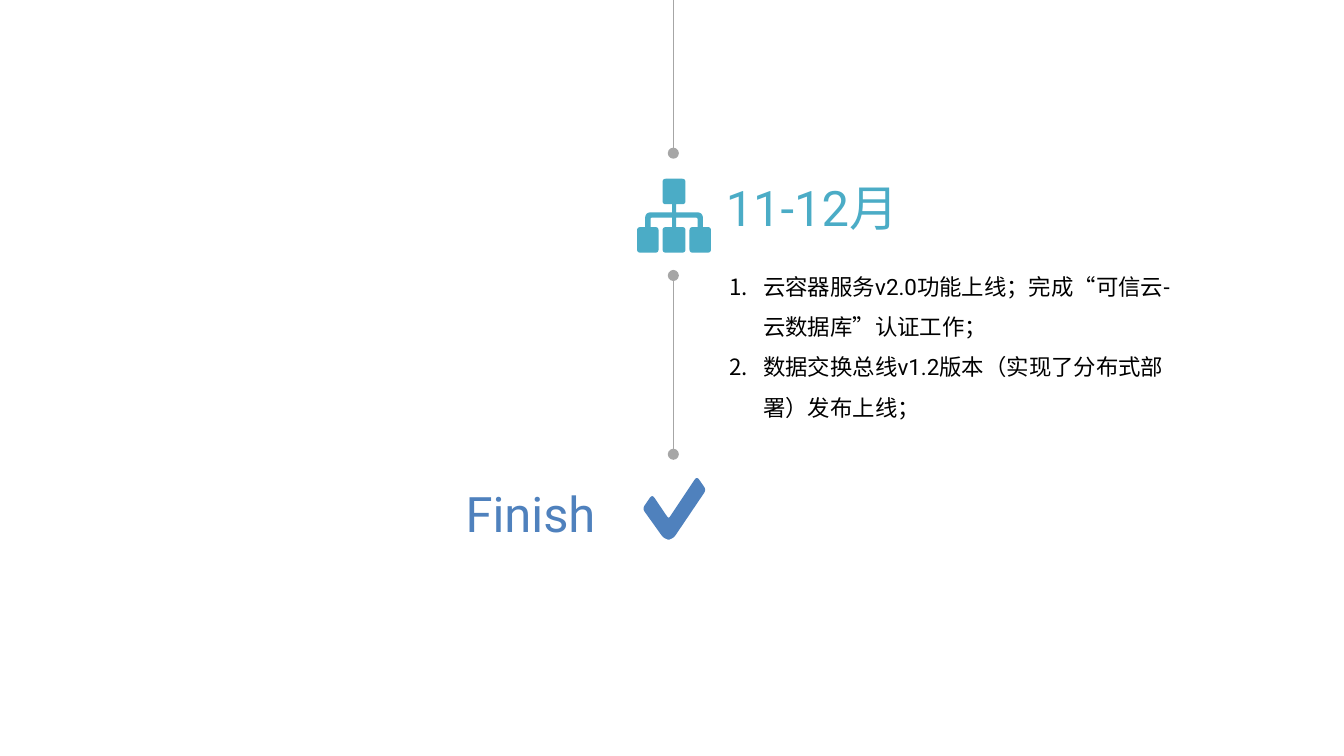
from dataclasses import dataclass

from lxml import etree
from pptx import Presentation
from pptx import util as u
from pptx.dml.color import RGBColor
from pptx.enum import shapes, text
from pptx.oxml import ns


@dataclass(frozen=True)
class Theme:
    font: str = "Roboto"
    title_size: float = 26.2
    body_size: float = 12
    teal: str = "4BACC6"
    blue: str = "4F81BD"
    grey: str = "A6A6A6"
    black: str = "000000"
    rule: float = 0.75


@dataclass(frozen=True)
class Box:
    left: float
    top: float
    width: float
    height: float

    def inches(self):
        return [u.Inches(v) for v in (self.left, self.top, self.width, self.height)]


THEME = Theme()
SLIDE_WIDTH = 10
SLIDE_HEIGHT = SLIDE_WIDTH * 9 / 16
AXIS = 5.01        # centre line of the timeline
TEXT_LEFT = 5.33   # left edge of the texts beside it

# Icon outlines in hundredths of an inch: x, y, corner rounding
TREE_RIGHT = [(36, 0, 2.5), (36, 19, 2.5), (29, 19, 0), (29, 25, 0), (49, 25, 4.5),
              (49, 36, 0), (55, 36, 2.5), (55, 55, 2.5), (39, 55, 2.5), (39, 36, 2.5),
              (45, 36, 0), (45, 29, 1), (29, 29, 0), (29, 36, 0), (36, 36, 2.5),
              (36, 55, 2.5)]
TREE = TREE_RIGHT + [(55 - x, y, r) for x, y, r in reversed(TREE_RIGHT)]
CHECK = [(-1, 22.5, 3), (6.3, 12, 3), (18.5, 30, 2), (39.5, -1.5, 3),
         (46.5, 8.5, 3), (21.5, 45.5, 4), (15.5, 45.5, 4)]


def toward(start, end, length):
    dx, dy = end[0] - start[0], end[1] - start[1]
    share = length / (dx * dx + dy * dy) ** 0.5
    return start[0] + dx * share, start[1] + dy * share


def rounded(corners, steps=6):
    """Replace every rounded corner by points on a quadratic curve."""
    points = []
    for i, corner in enumerate(corners):
        if not corner[2]:
            points.append(corner[:2])
            continue
        first = toward(corner, corners[i - 1], corner[2])
        last = toward(corner, corners[(i + 1) % len(corners)], corner[2])
        for step in range(steps + 1):
            t = step / steps
            points.append(tuple((1 - t) ** 2 * a + 2 * t * (1 - t) * b + t * t * c
                                for a, b, c in zip(first, corner, last)))
    return points


def add_icon(page, box, corners, color):
    points = [(u.Inches(box.left + x / 100), u.Inches(box.top + y / 100))
              for x, y in rounded(corners)]
    builder = page.shapes.build_freeform(*points[0])
    builder.add_line_segments(points[1:], close=True)
    icon = builder.convert_to_shape()
    icon.shadow.inherit = False
    icon.fill.solid()
    icon.fill.fore_color.rgb = RGBColor.from_string(color)
    icon.line.fill.background()


def add_stem(page, start, end, ends):
    """Vertical timeline line with round dots at the given ends."""
    stem = page.shapes.add_connector(shapes.MSO_CONNECTOR.STRAIGHT,
                                     u.Inches(AXIS), u.Inches(start),
                                     u.Inches(AXIS), u.Inches(end))
    stem.line.color.rgb = RGBColor.from_string(THEME.grey)
    stem.line.width = u.Pt(THEME.rule)
    line = stem.line._get_or_add_ln()
    for tag in ends:
        etree.SubElement(line, ns.qn(tag), type="oval")
    etree.SubElement(stem._element.spPr, ns.qn("a:effectLst"))


def add_text(page, box, lines, size, color, align=text.PP_ALIGN.LEFT):
    frame = page.shapes.add_textbox(*box.inches()).text_frame
    frame.word_wrap = True
    frame.text = "\n".join(lines)
    for para in frame.paragraphs:
        para.alignment = align
        for span in para.runs:
            span.font.name = THEME.font
            span.font.size = u.Pt(size)
            span.font.color.rgb = RGBColor.from_string(color)
    return frame


def add_heading(page, box, words, color, align=text.PP_ALIGN.LEFT):
    frame = add_text(page, box, [words], THEME.title_size, color, align)
    frame.vertical_anchor = text.MSO_ANCHOR.MIDDLE
    frame.margin_left = frame.margin_right = u.Inches(0.07)
    frame.margin_top = frame.margin_bottom = u.Inches(0.04)


def add_numbered_list(page, box, lines):
    frame = add_text(page, box, lines, THEME.body_size, THEME.black)
    frame.auto_size = text.MSO_AUTO_SIZE.SHAPE_TO_FIT_TEXT
    for para in frame.paragraphs:
        para.line_spacing = 1.5
        props = para._p.get_or_add_pPr()
        props.set("marL", str(u.Inches(0.25)))
        props.set("indent", str(-u.Inches(0.25)))
        etree.SubElement(props, ns.qn("a:buFont"), typeface="+mj-lt")
        etree.SubElement(props, ns.qn("a:buAutoNum"), type="arabicPeriod")


def add_milestone(page, box):
    """Month heading, its icon and the work items."""
    add_heading(page, Box(TEXT_LEFT, box.top, 3.15, 0.48), "11-12月", THEME.teal)
    add_icon(page, Box(box.left, box.top + 0.03, 0.55, 0.55), TREE, THEME.teal)
    add_numbered_list(page, Box(TEXT_LEFT, box.top + 0.58, 3.55, 1.29), [
        "云容器服务v2.0功能上线；完成“可信云-云数据库”认证工作；",
        "数据交换总线v1.2版本（实现了分布式部署）发布上线；",
    ])


def add_finish(page, box):
    """Closing word with its check mark."""
    add_heading(page, Box(box.left, box.top, 3.15, 0.48), "Finish", THEME.blue,
                text.PP_ALIGN.RIGHT)
    add_icon(page, Box(box.left + 3.44, box.top - 0.02, 0.45, 0.45), CHECK, THEME.blue)


def main():
    deck = Presentation()
    deck.slide_width, deck.slide_height = u.Inches(SLIDE_WIDTH), u.Inches(SLIDE_HEIGHT)
    page = deck.slides.add_slide(deck.slide_layouts[6])

    # Timeline
    add_stem(page, 1.14, 0, ["a:headEnd"])
    add_stem(page, 2.05, 3.38, ["a:headEnd", "a:tailEnd"])

    # Stops
    add_milestone(page, Box(4.74, 1.3, 4.14, 1.87))
    add_finish(page, Box(1.35, 3.58, 3.89, 0.48))

    deck.save("out.pptx")


if __name__ == "__main__":
    main()
